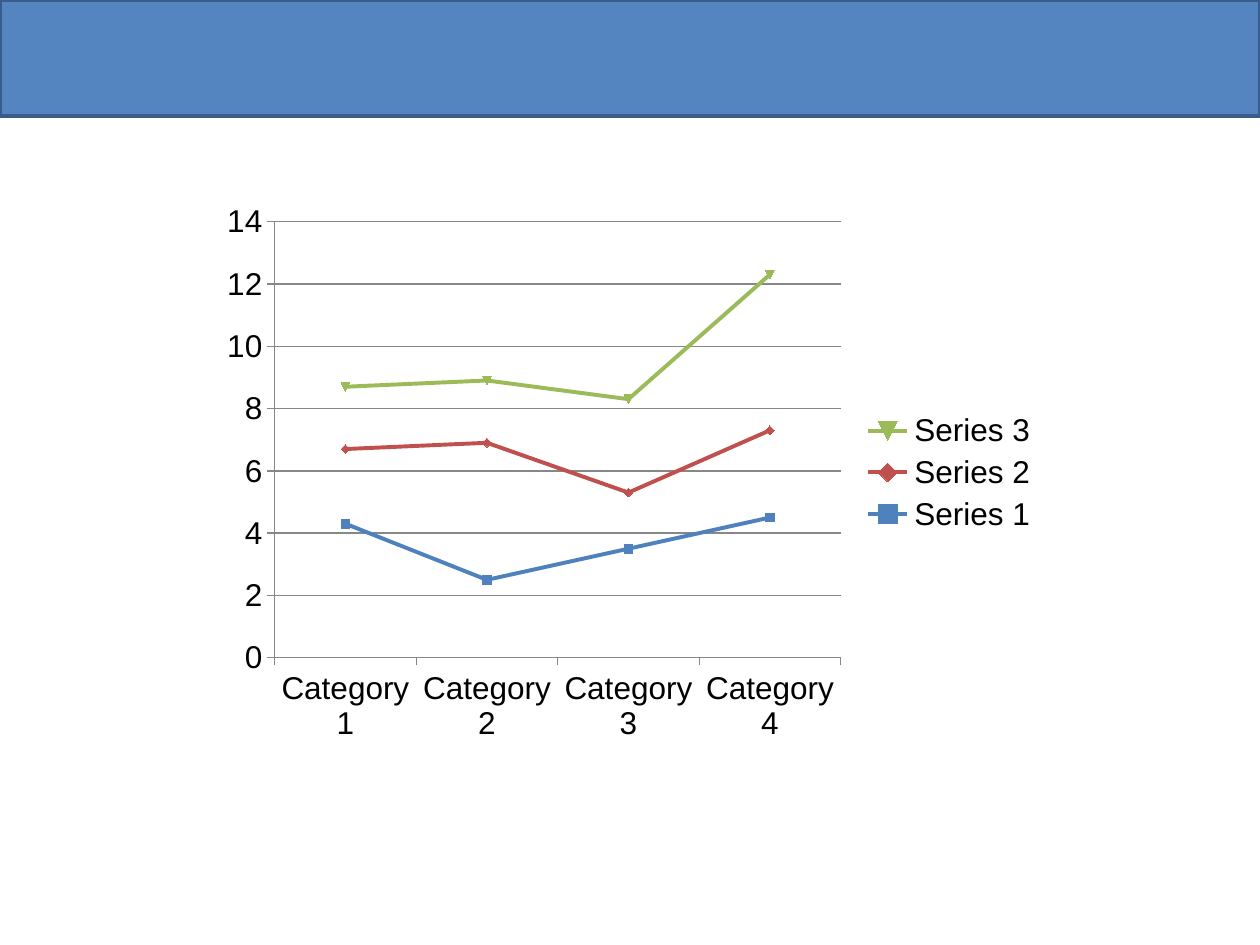
from dataclasses import dataclass

from pptx import Presentation
from pptx.chart.data import CategoryChartData
from pptx.dml.color import RGBColor
from pptx.enum.chart import XL_CHART_TYPE, XL_LEGEND_POSITION, XL_TICK_MARK
from pptx.enum.shapes import MSO_SHAPE
from pptx.util import Inches, Pt

BANNER_FILL = RGBColor(0x54, 0x85, 0xC0)
BANNER_LINE = RGBColor(0x38, 0x5D, 0x8A)
AXIS_GRAY = RGBColor(0x87, 0x87, 0x87)
BLACK = RGBColor(0, 0, 0)
BLUE = RGBColor(0x4F, 0x81, 0xBD)
RED = RGBColor(0xC0, 0x50, 0x4D)
GREEN = RGBColor(0x9B, 0xBB, 0x59)


@dataclass(frozen=True)
class LineSeries:
    name: str
    values: tuple[float, ...]
    color: RGBColor


CATEGORIES = [f"Category {n}" for n in range(1, 5)]
SERIES = [
    LineSeries("Series 1", (4.3, 2.5, 3.5, 4.5), BLUE),
    LineSeries("Series 2", (2.4, 4.4, 1.8, 2.8), RED),
    LineSeries("Series 3", (2, 2, 3, 5), GREEN),
]


def add_banner(slide) -> None:
    banner = slide.shapes.add_shape(
        MSO_SHAPE.RECTANGLE, 0, 0, Inches(10), Inches(0.92))
    banner.shadow.inherit = False
    banner.fill.solid()
    banner.fill.fore_color.rgb = BANNER_FILL
    banner.line.color.rgb = BANNER_LINE
    banner.line.width = Pt(2)


def style_line(line, color: RGBColor, width: float) -> None:
    line.color.rgb = color
    line.width = Pt(width)


def add_stacked_lines(slide, series_list: list[LineSeries]) -> None:
    data = CategoryChartData()
    data.categories = CATEGORIES
    for item in series_list:
        data.add_series(item.name, item.values)
    chart = slide.shapes.add_chart(
        XL_CHART_TYPE.LINE_MARKERS_STACKED,
        Inches(1.67), Inches(1.53), Inches(6.67), Inches(4.44), data).chart

    # Text and legend
    chart.has_title = False
    chart.font.name = "Arial"
    chart.font.size = Pt(18)
    chart.font.color.rgb = BLACK
    chart.has_legend = True
    chart.legend.position = XL_LEGEND_POSITION.RIGHT
    chart.legend.include_in_layout = False

    # Axes and gridlines
    for axis in (chart.category_axis, chart.value_axis):
        axis.major_tick_mark = XL_TICK_MARK.OUTSIDE
        axis.minor_tick_mark = XL_TICK_MARK.NONE
        style_line(axis.format.line, AXIS_GRAY, 0.75)
    chart.value_axis.has_major_gridlines = True
    style_line(chart.value_axis.major_gridlines.format.line, AXIS_GRAY, 0.75)

    # Series lines
    plot = chart.plots[0]
    plot.vary_by_categories = False
    for series, item in zip(plot.series, series_list):
        series.smooth = False
        style_line(series.format.line, item.color, 2.25)


prs = Presentation()
prs.slide_width, prs.slide_height = Inches(10), Inches(7.5)
slide = prs.slides.add_slide(prs.slide_layouts[6])
add_banner(slide)
add_stacked_lines(slide, SERIES)
prs.save("out.pptx")
